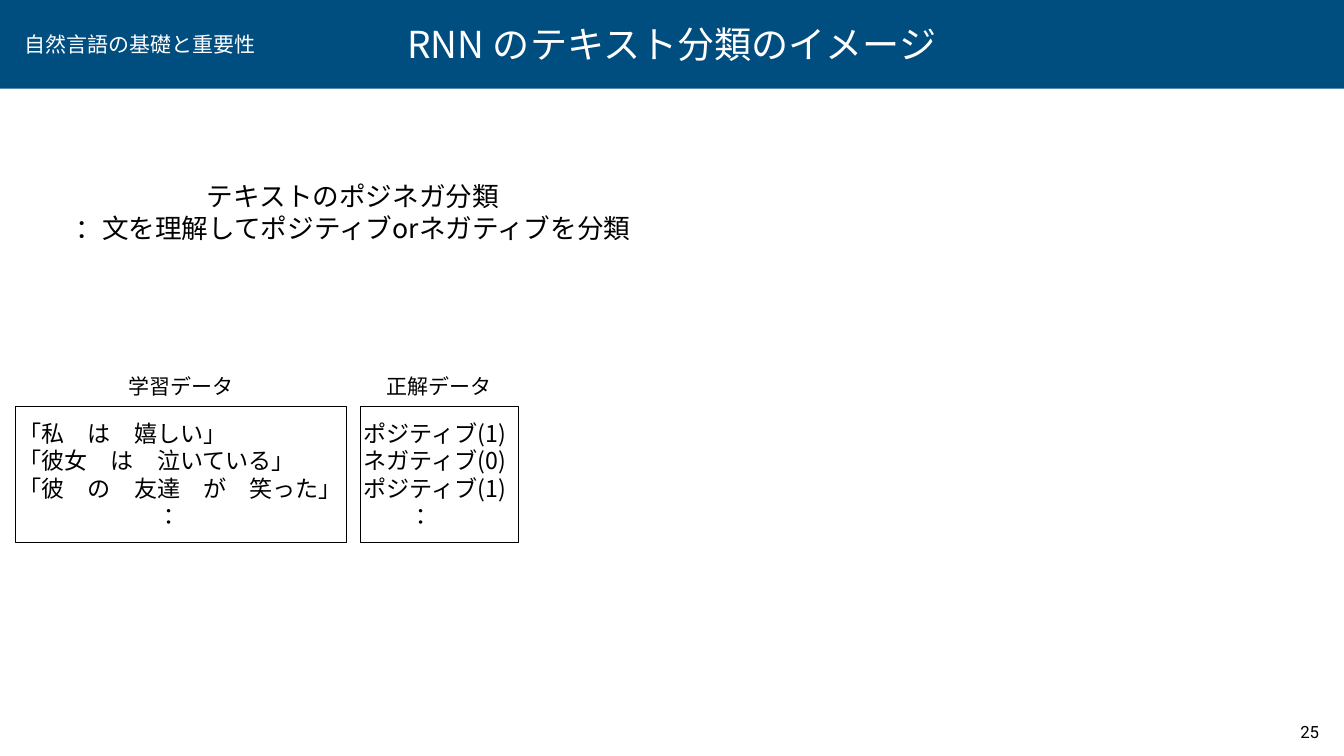
from dataclasses import dataclass

from lxml.etree import SubElement
from pptx import Presentation
from pptx.dml.color import RGBColor
from pptx.enum.shapes import MSO_SHAPE
from pptx.enum.text import MSO_ANCHOR, PP_ALIGN
from pptx.oxml.ns import qn
from pptx.util import Inches, Pt

NAVY = RGBColor(0x00, 0x4D, 0x80)
WHITE = RGBColor(0xFF, 0xFF, 0xFF)
BLACK = RGBColor(0x00, 0x00, 0x00)
JP_FONT = "Noto Sans CJK JP"
SLIDE_W, SLIDE_H = 26.67, 15
INSET = 0.06
DATA_SIZE = 33
DATA_TOP, DATA_H = 8.07, 2.69
LABEL_TOP, LABEL_W, LABEL_H = 7.4, 2.21, 0.53


@dataclass
class TextBlock:
    lines: list[str]
    left: float
    top: float
    width: float
    height: float
    size: int
    color: RGBColor = BLACK
    font: str = JP_FONT
    wrap: bool = False
    anchor: MSO_ANCHOR = MSO_ANCHOR.MIDDLE


@dataclass
class DataColumn:
    label: str
    lines: list[str]
    left: float
    width: float
    dots_indent: int  # full-width characters before the closing "："


def write_lines(sp, lines: list[str], size: int, color: RGBColor = BLACK,
                font: str = JP_FONT, align: PP_ALIGN = PP_ALIGN.CENTER,
                wrap: bool = True, anchor: MSO_ANCHOR = MSO_ANCHOR.MIDDLE) -> None:
    tf = sp.text_frame
    tf.word_wrap = wrap
    tf.vertical_anchor = anchor
    tf.margin_left = tf.margin_right = Inches(INSET)
    tf.margin_top = tf.margin_bottom = Inches(INSET)
    for i, line in enumerate(lines):
        p = tf.paragraphs[0] if i == 0 else tf.add_paragraph()
        p.alignment = align
        if len(lines) > 1:
            p.line_spacing = Pt(round(size * 1.2, 1))
        r = p.add_run()
        r.text = line
        r.font.size = Pt(size)
        r.font.name = font
        r.font.color.rgb = color
        SubElement(r.font._element, qn("a:ea")).set("typeface", font)


def add_text(s, block: TextBlock) -> None:
    sp = s.shapes.add_textbox(Inches(block.left), Inches(block.top),
                              Inches(block.width), Inches(block.height))
    write_lines(sp, block.lines, block.size, block.color, block.font,
                wrap=block.wrap, anchor=block.anchor)


def add_rect(s, left: float, top: float, width: float, height: float):
    sp = s.shapes.add_shape(MSO_SHAPE.RECTANGLE, Inches(left), Inches(top),
                            Inches(width), Inches(height))
    sp.shadow.inherit = False
    return sp


def add_data_column(s, col: DataColumn) -> None:
    sp = add_rect(s, col.left, DATA_TOP, col.width, DATA_H)
    sp.fill.background()
    sp.line.color.rgb = BLACK
    sp.line.width = Pt(2)
    write_lines(sp, col.lines + ["："], DATA_SIZE, align=PP_ALIGN.LEFT)
    dots = sp.text_frame.paragraphs[-1]
    dots._p.get_or_add_pPr().set("marL", str(Pt(DATA_SIZE * col.dots_indent)))
    # Label centred over its box
    label_left = col.left + (col.width - LABEL_W) / 2
    add_text(s, TextBlock([col.label], label_left, LABEL_TOP, LABEL_W, LABEL_H, 30))


TEXTS = [
    TextBlock(["自然言語の基礎と重要性"], 0.42, 0.62, 4.71, 0.53, 30, WHITE),
    TextBlock(["RNN のテキスト分類のイメージ"], 7.9, 0.45, 10.87, 0.85, 53, WHITE),
    TextBlock(["テキストのポジネガ分類", "：文を理解してポジティブorネガティブを分類"],
              1.37, 3.48, 11.27, 1.43, 38, wrap=True),
    TextBlock(["25"], 25.74, 14.25, 0.5, 0.5, 24, font="Roboto",
              anchor=MSO_ANCHOR.TOP),
]

COLUMNS = [
    DataColumn("学習データ",
               ["「私　は　嬉しい」", "「彼女　は　泣いている」", "「彼　の　友達　が　笑った」"],
               0.31, 6.57, 6),
    DataColumn("正解データ",
               ["ポジティブ(1)", "ネガティブ(0)", "ポジティブ(1)"],
               7.15, 3.14, 2),
]


def main() -> None:
    prs = Presentation()
    prs.slide_width, prs.slide_height = Inches(SLIDE_W), Inches(SLIDE_H)
    s = prs.slides.add_slide(prs.slide_layouts[6])

    # Header band
    band = add_rect(s, 0, 0, SLIDE_W, 1.76)
    band.fill.solid()
    band.fill.fore_color.rgb = NAVY
    band.line.fill.background()

    # Titles, task description and page number
    for block in TEXTS:
        add_text(s, block)

    # Training and answer data
    for col in COLUMNS:
        add_data_column(s, col)

    prs.save("out.pptx")


if __name__ == "__main__":
    main()
